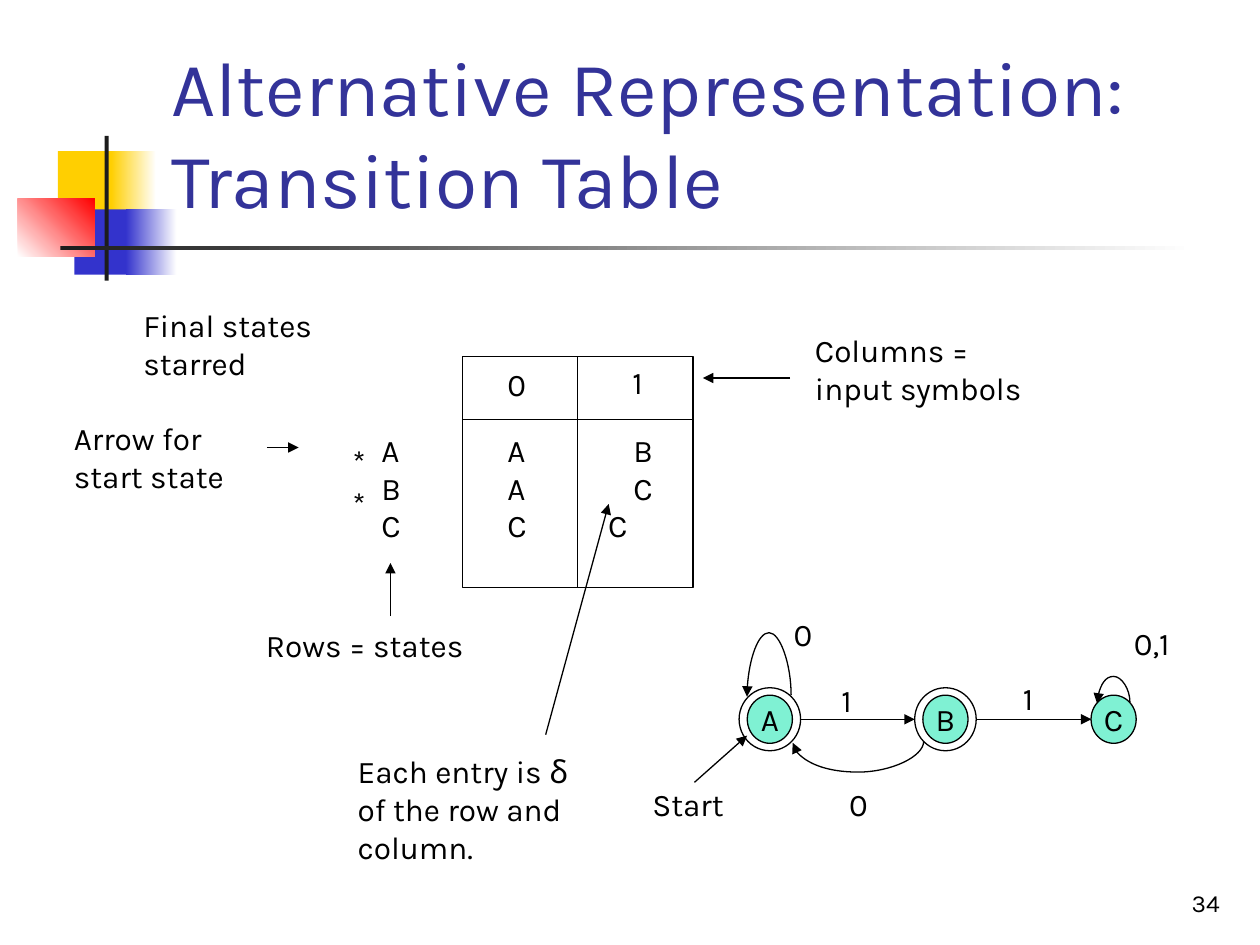
from dataclasses import dataclass

from lxml.etree import SubElement
from pptx import Presentation
from pptx.dml.color import RGBColor
from pptx.enum.shapes import MSO_CONNECTOR as Link, MSO_SHAPE as Preset
from pptx.enum.text import MSO_ANCHOR as Anchor, MSO_AUTO_SIZE as AutoSize, PP_ALIGN as Align
from pptx.oxml.ns import qn
from pptx.util import Cm, Pt


@dataclass(frozen=True)
class Theme:
    font: str = "Karla"
    symbol_font: str = "Noto Sans Mono"
    title_size: int = 44
    body_size: int = 18
    number_size: int = 14
    line_width: float = 0.75
    title: str = "333399"
    ink: str = "000000"
    paper: str = "FFFFFF"
    yellow: str = "FFCF01"
    blue: str = "3333CC"
    red: str = "FF0000"
    bar: str = "1C1C1C"
    state: str = "00E4A8"


THEME = Theme()
SYMBOL = "δ"


def rgb(color):
    return RGBColor.from_string(color)


def write(frame, text, size=THEME.body_size, color=THEME.ink, align=Align.LEFT,
          anchor=Anchor.TOP, wrap=False, grow=False, tabs=None):
    """Fill a text frame, one paragraph per line; tabs lists the stops of each line."""
    frame.word_wrap = wrap
    frame.vertical_anchor = anchor
    frame.auto_size = AutoSize.SHAPE_TO_FIT_TEXT if grow else AutoSize.NONE
    for index, line in enumerate(text.split("\n")):
        paragraph = frame.add_paragraph() if index else frame.paragraphs[0]
        paragraph.alignment = align
        if tabs:
            tab_list = SubElement(paragraph._p.get_or_add_pPr(), qn("a:tabLst"))
            for stop in tabs[index]:
                SubElement(tab_list, qn("a:tab"), pos=str(Cm(stop)), algn="l")
        for part in filter(None, line.partition(SYMBOL)):
            run = paragraph.add_run()
            run.text = part
            run.font.name = THEME.symbol_font if part == SYMBOL else THEME.font
            run.font.size = Pt(size)
            run.font.color.rgb = rgb(color)


class SlideBuilder:
    def __init__(self, slide, theme):
        self.shapes = slide.shapes
        self.theme = theme

    def text(self, text, left, top, width=0.97, height=1.27, **style):
        box = self.shapes.add_textbox(Cm(left), Cm(top), Cm(width), Cm(height))
        write(box.text_frame, text, **style)

    def label(self, text, left, top, width=0.97, height=1.27, **style):
        self.text(text, left, top, width, height, grow=True, **style)

    def shape(self, preset, left, top, width, height, fill=None, outlined=False):
        shape = self.shapes.add_shape(preset, Cm(left), Cm(top), Cm(width), Cm(height))
        shape.shadow.inherit = False
        if fill:
            shape.fill.solid()
            shape.fill.fore_color.rgb = rgb(fill)
        else:
            shape.fill.background()
        if outlined:
            shape.line.color.rgb = rgb(self.theme.ink)
            shape.line.width = Pt(self.theme.line_width)
        else:
            shape.line.fill.background()
        return shape

    def block(self, left, top, width, height, fill):
        return self.shape(Preset.RECTANGLE, left, top, width, height, fill)

    def fade(self, left, top, width, height, start, end, angle=0):
        fill = self.block(left, top, width, height, start).fill
        fill.gradient()
        fill.gradient_angle = angle
        for stop, color in zip(fill.gradient_stops, (start, end)):
            stop.color.rgb = rgb(color)

    def oval(self, center_x, center_y, width, height, fill=None):
        return self.shape(Preset.OVAL, center_x - width / 2, center_y - height / 2,
                          width, height, fill, outlined=True)

    def state(self, name, center_x, center_y, final):
        oval = self.oval(center_x, center_y, 0.91, 0.97, self.theme.state)
        color = oval.fill._xPr.find(f"{qn('a:solidFill')}/{qn('a:srgbClr')}")
        SubElement(color, qn("a:alpha"), val="50000")
        write(oval.text_frame, name, align=Align.CENTER, anchor=Anchor.MIDDLE)
        if final:
            self.oval(center_x, center_y, 1.24, 1.27)

    def line(self, x1, y1, x2, y2, arrow=False, kind=Link.STRAIGHT):
        connector = self.shapes.add_connector(kind, Cm(x1), Cm(y1), Cm(x2), Cm(y2))
        connector.line.color.rgb = rgb(self.theme.ink)
        connector.line.width = Pt(self.theme.line_width)
        if arrow:
            SubElement(connector.line._get_or_add_ln(), qn("a:tailEnd"), type="triangle")
        SubElement(connector._element.spPr, qn("a:effectLst"))
        return connector

    def arrow(self, x1, y1, x2, y2):
        self.line(x1, y1, x2, y2, arrow=True)

    def arc(self, right, left, y, depth):
        """Curved arrow from right to left; a negative depth bulges upwards."""
        flat = 0.03
        center, span = (left + right) / 2, right - left
        side = 1 if depth > 0 else -1
        dx, dy = side * flat / 2, side * span / 2
        connector = self.line(center - dx, y - dy, center + dx, y + dy, True, Link.CURVE)
        properties = connector._element.spPr
        turn = 90 if depth > 0 else 270
        properties.find(qn("a:xfrm")).set("rot", str(turn * 60000))
        geometry = properties.find(qn("a:prstGeom"))
        guides = geometry.find(qn("a:avLst"))
        if guides is None:
            guides = SubElement(geometry, qn("a:avLst"))
        SubElement(guides, qn("a:gd"), name="adj1", fmla=f"val {round(depth / flat * 100000)}")


def main():
    presentation = Presentation()
    presentation.slide_width, presentation.slide_height = Cm(25.4), Cm(19.05)
    slide = presentation.slides.add_slide(presentation.slide_layouts[6])
    builder = SlideBuilder(slide, THEME)

    # Corner ornament and title rule
    builder.block(1.17, 3.05, 1.22, 1.32, THEME.yellow)
    builder.fade(2.24, 3.05, 0.91, 1.32, THEME.yellow, THEME.paper)
    builder.block(1.5, 4.22, 1.17, 1.32, THEME.blue)
    builder.fade(2.54, 4.22, 1.02, 1.32, THEME.blue, THEME.paper)
    builder.fade(0.36, 4.01, 1.55, 1.17, THEME.paper, THEME.red, angle=45)
    builder.block(2.11, 2.74, 0.08, 2.92, THEME.bar)
    builder.fade(1.22, 4.95, 22.86, 0.09, THEME.bar, THEME.paper)

    # Title and slide number
    builder.text("Alternative Representation: Transition Table", 3.2, 0.58, 21.64, 4.06,
                 size=THEME.title_size, color=THEME.title, anchor=Anchor.BOTTOM, wrap=True)
    builder.text("34", 19.56, 17.35, 5.28, 1.27, size=THEME.number_size,
                 align=Align.RIGHT, anchor=Anchor.BOTTOM, wrap=True)

    # Transition table
    left, top, side = 9.32, 7.19, 4.65
    builder.shape(Preset.RECTANGLE, left, top, side, side, outlined=True)
    builder.line(left, 8.46, left + side, 8.46)
    builder.line(left + side / 2, top, left + side / 2, top + side)
    builder.label("0", 9.98, 7.24)
    builder.label("1", 12.5, 7.19)
    builder.label("A\tA\tB\nB\tA\tC\nC\tC\tC", 7.44, 8.56, 10.13, 2.57, wrap=True,
                  tabs=[(2.54, 5.08), (2.54, 5.08), (2.54, 4.57)])

    # Notes around the table
    builder.label("Rows = states", 5.11, 12.5, 5.87)
    builder.arrow(7.87, 12.42, 7.87, 11.35)
    builder.label("Columns =\ninput symbols", 16.18, 6.55, 6.73, 2.29)
    builder.arrow(15.93, 7.62, 14.17, 7.62)
    builder.label("Final states\nstarred", 2.64, 6.05, 4.72, 2.29)
    for star_top in (8.79, 9.63):
        builder.label("*", 6.86, star_top)
    builder.label("Arrow for\nstart state", 1.24, 8.33, 4.29, 2.29)
    builder.arrow(5.38, 9.02, 6.02, 9.02)
    builder.label("Each entry is δ\nof the row and\ncolumn.", 6.96, 15.04, 6.1, 3.3)
    builder.arrow(11, 14.81, 12.27, 10.16)

    # Automaton: states
    axis = 14.5
    for name, center, final in (("A", 15.52, True), ("B", 19.06, True), ("C", 22.45, False)):
        builder.state(name, center, axis, final)

    # Automaton: transitions
    builder.arrow(14, 15.77, 15.06, 14.83)
    builder.arrow(16.14, axis, 18.44, axis)
    builder.arrow(19.68, axis, 22, axis)
    builder.arc(15.95, 15.06, 14.03, -1.26)
    builder.arc(18.62, 15.98, 14.96, 0.62)
    builder.arc(22.78, 22.12, 14.17, -0.52)
    for text, x, y, width in (("Start", 12.9, 15.7, 2.29), ("1", 16.71, 13.61, 0.97),
                              ("0", 16.87, 15.7, 0.97), ("1", 20.37, 13.56, 0.97),
                              ("0", 15.75, 12.27, 0.97), ("0,1", 22.61, 12.45, 1.7)):
        builder.label(text, x, y, width)

    presentation.save("out.pptx")


if __name__ == "__main__":
    main()
